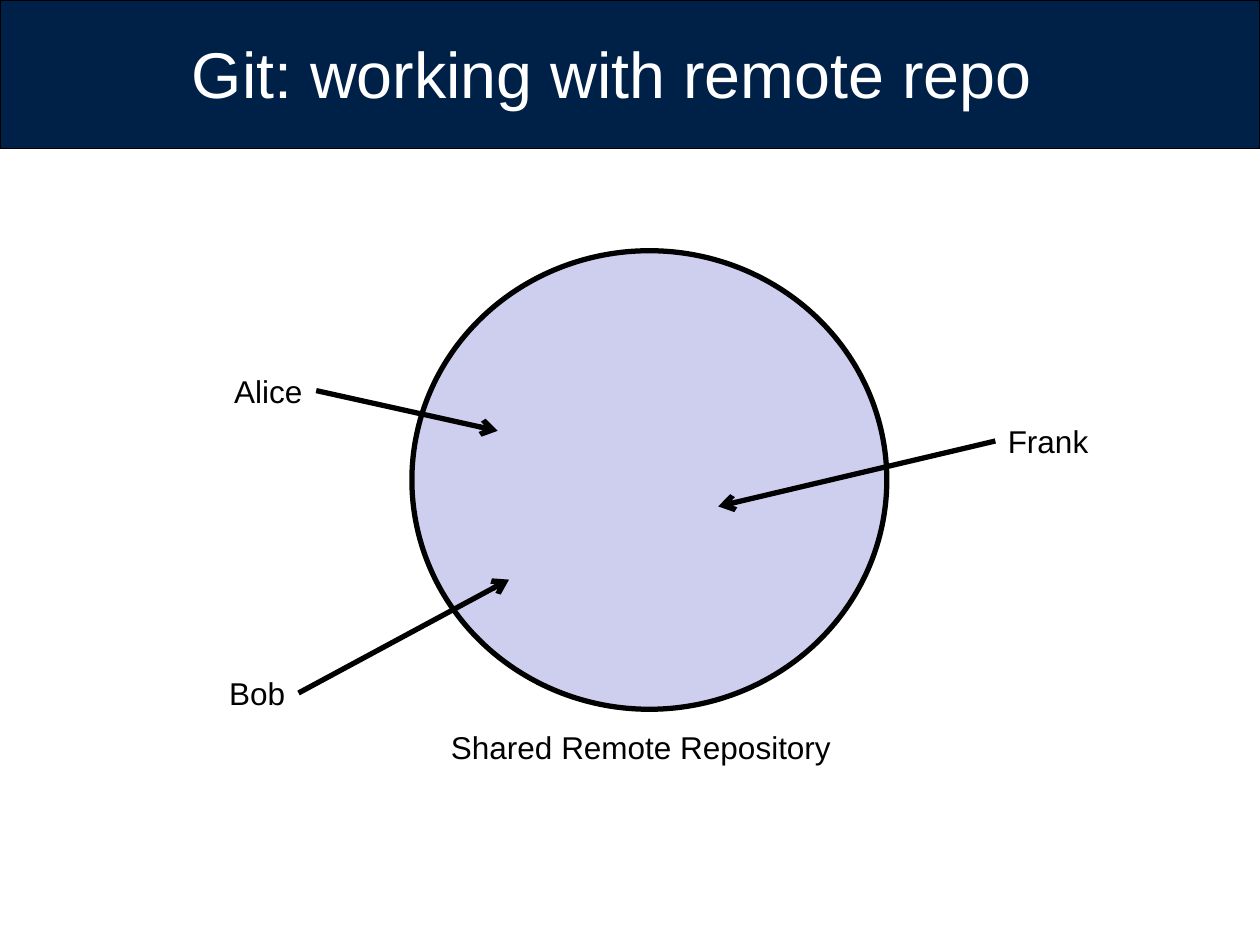
from lxml import etree
from pptx import Presentation
from pptx.dml.color import RGBColor
from pptx.enum import shapes, text
from pptx.oxml import ns
from pptx.util import Pt


def paint(form, color):
    form.solid()
    form.fore_color.rgb = RGBColor.from_string(color)


def write(words, left, top, width, height, size, color):
    box = slide.shapes.add_textbox(Pt(left), Pt(top), Pt(width), Pt(height))
    frame = box.text_frame
    frame.word_wrap = False
    frame.text = words
    par = frame.paragraphs[0]
    par.font.name = "Arial"
    par.font.size = Pt(size)
    paint(par.font.fill, color)
    return frame


deck = Presentation()
deck.slide_width, deck.slide_height = Pt(720), Pt(540)
slide = deck.slides.add_slide(deck.slide_layouts[6])

for kind, left, top, width, height, color, weight in (
    (shapes.MSO_SHAPE.RECTANGLE, 0, 0, 720, 85, "002147", 0.75),
    (shapes.MSO_SHAPE.OVAL, 235.4, 143.3, 271.4, 262, "CECEEF", 3),
):
    shape = slide.shapes.add_shape(kind, Pt(left), Pt(top), Pt(width), Pt(height))
    shape.shadow.inherit = False
    paint(shape.fill, color)
    paint(shape.line.fill, "000000")
    shape.line.width = Pt(weight)

title = write("Git: working with remote repo", 82, 3, 536, 77, 36.9, "FFFFFF")
title.word_wrap = True
title.vertical_anchor = text.MSO_ANCHOR.MIDDLE
title.paragraphs[0].alignment = text.PP_ALIGN.CENTER

for words, left, top, width in (
    ("Shared Remote Repository", 250.6, 412.6, 234),
    ("Alice", 126.7, 208.8, 54),
    ("Bob", 123.8, 381.6, 46.8),
    ("Frank", 568.8, 237.6, 61.2),
):
    write(words, left, top, width, 28.8, 18, "000000")

for start, end in (
    ((180.7, 223.2), (284.4, 246.2)),
    ((170.6, 396), (290.9, 331.2)),
    ((568.8, 252), (410.4, 289.4)),
):
    arrow = slide.shapes.add_connector(
        shapes.MSO_CONNECTOR.STRAIGHT, *map(Pt, start + end)
    )
    paint(arrow.line.fill, "000000")
    arrow.line.width = Pt(3)
    props = arrow.element.spPr
    etree.SubElement(props.find(ns.qn("a:ln")), ns.qn("a:tailEnd"), type="arrow")
    etree.SubElement(props, ns.qn("a:effectLst"))

deck.save("out.pptx")
